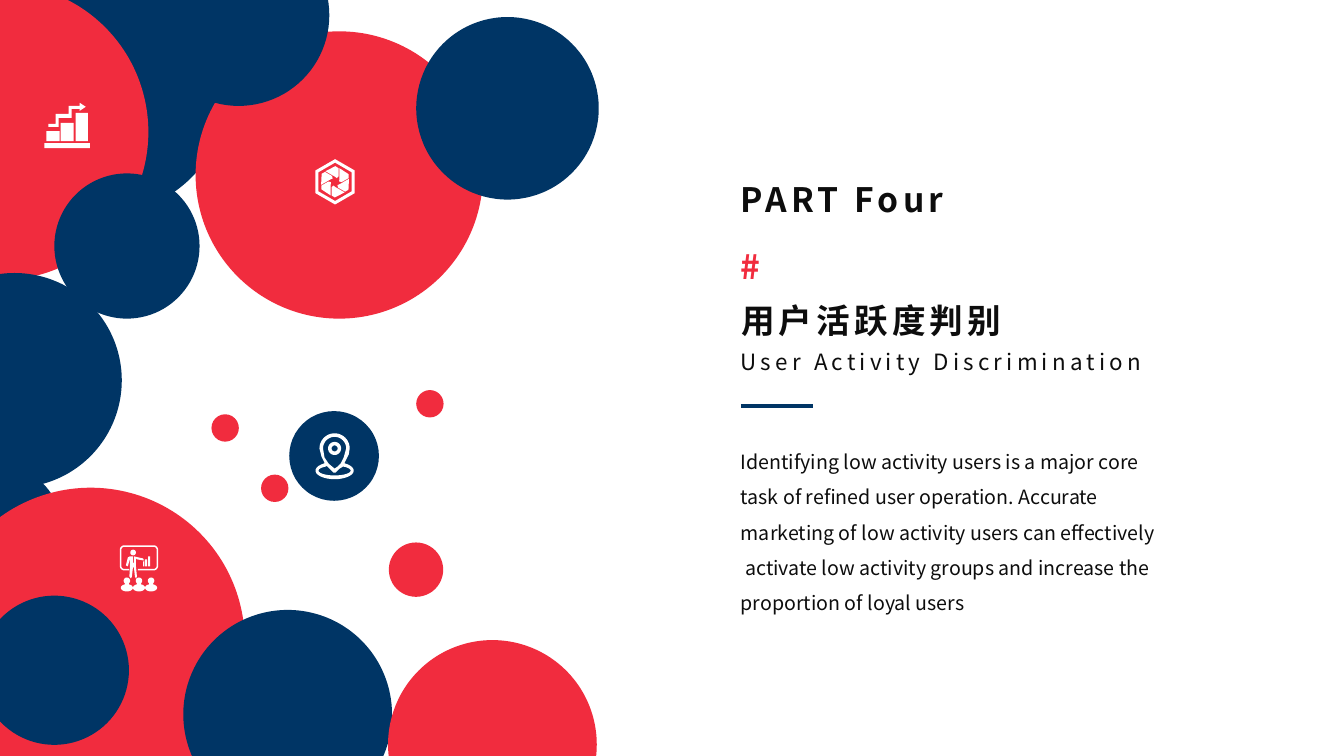
from math import cos, radians, sin

from lxml import etree
from pptx import Presentation
from pptx import util as u
from pptx.dml.color import RGBColor
from pptx.enum import shapes, text
from pptx.oxml.ns import qn

COLORS = {"navy": "003565", "red": "F12C3E", "white": "FFFFFF", "ink": "0D0D0D"}
FONT = "Noto Sans CJK SC"
UNIT = 2.54 / 100  # cm per icon unit


def arc(cx, cy, rx, ry, start=0, end=360, steps=24):
    angles = [radians(start + (end - start) * i / steps) for i in range(steps + 1)]
    return [(cx + rx * cos(a), cy + ry * sin(a)) for a in angles]


def box(x, y, w, h):
    return [(x, y), (x + w, y), (x + w, y + h), (x, y + h)]


prs = Presentation()
prs.slide_width, prs.slide_height = u.Cm(33.87), u.Cm(19.05)
s = prs.slides.add_slide(prs.slide_layouts[5])

# Circles, back to front: left, top, diameter in cm
circles = [
    (-0.51, -0.86, 6.25, "navy"), (-3.73, -0.41, 7.47, "red"),
    (1.37, 4.37, 3.66, "navy"), (-2.34, 6.88, 5.41, "navy"),
    (4.93, 0.79, 7.24, "red"), (3.73, -1.9, 4.57, "navy"),
    (-1.6, 11.73, 3.15, "navy"), (-1.6, 12.29, 7.77, "red"),
    (-0.51, 15.01, 3.76, "navy"), (4.62, 15.37, 5.26, "navy"),
    (9.78, 16.13, 5.26, "red"), (7.29, 10.36, 2.26, "navy"),
    (6.58, 11.96, 0.69, "red"), (5.33, 10.44, 0.69, "red"),
    (10.49, 9.83, 0.69, "red"), (9.8, 13.67, 1.37, "red"),
    (10.49, 0.43, 4.6, "navy"),
]
for x, y, d, color in circles:
    sp = s.shapes.add_shape(shapes.MSO_SHAPE.OVAL, *map(u.Cm, (x, y, d, d)))
    sp.shadow.inherit = False
    sp.fill.solid()
    sp.fill.fore_color.rgb = RGBColor.from_string(COLORS[color])
    sp.line.fill.background()

# Presenter icon: board frame open at the bottom, speaker, bars, audience
corners = [(4.5, 20.5, 90), (4.5, 4.5, 180), (33.5, 4.5, 270), (33.5, 20.5, 360)]
board = [(9, 25)]
for cx, cy, a in corners:
    board += arc(cx, cy, 4.5, 4.5, a, a + 90, 6)
board += [(18, 25), (18, 23.5)]
for cx, cy, a in reversed(corners):
    board += arc(cx, cy, 3, 3, a + 90, a, 6)
board.append((9, 23.5))
speaker = [
    (8, 12), (10, 11), (13, 11), (13, 17), (13.5, 18), (14, 17), (14, 11),
    (18, 12), (23, 13), (24, 15), (23, 15), (17, 14), (16, 13), (16, 21),
    (17, 31), (16, 33), (15, 31), (14, 22), (13, 22), (12, 31), (11, 33),
    (9.5, 31), (10, 21), (10, 13), (8, 21), (6, 20),
]
audience = [arc(x, 35.2, 3.2, 3.2, 130, 410) + arc(x, 42.2, 6, 3.6, -70, 250)
            for x in (7, 19, 31)]
presenter = [board, speaker, arc(13.2, 7.2, 2.8, 2.8), box(23, 16, 1, 5),
             box(25, 14, 2, 7), box(28, 11, 2, 10), *audience]

# Growth icon: base, three bars, stepped arrow
growth = [
    box(0, 40, 45, 5), box(2, 28, 13, 10), box(16, 20, 13, 18), box(31, 10, 12, 28),
    [(35, 0), (41, 4), (35, 8), (35, 6), (27, 6), (27, 15), (14, 15), (14, 24),
     (4, 24), (4, 21), (11, 21), (11, 11), (24, 11), (24, 3), (35, 3)],
]

# Shutter icon: hexagonal ring and one blade turned six times
shutter = [arc(19.5, 22.5, r, r, 30, 330, 5) for r in (22.5, 19)]
blade = [(0.3, -15.5), (3.5, -13.5), (3.5, -5.5), (1.7, -3.7), (-0.3, -5.2), (-9.5, -10.5)]
for a in map(radians, range(0, 360, 60)):
    shutter.append([(19.5 + x * cos(a) - y * sin(a), 22.5 + x * sin(a) + y * cos(a))
                    for x, y in blade])

# Pin icon: outline, hollow base, hollow pin, ring
pin = [
    arc(19, 15, 15, 15, -180, 0) + [(33, 21), (30, 27), (29, 29)]
    + arc(19, 37, 19, 8.5, -58, 238) + [(9, 29), (6, 23)],
    arc(19, 37, 16, 4.8, -58, 238) + [(11, 32), (14, 35), (18, 39), (20, 39), (24, 35)],
    arc(19, 15, 11.5, 11.5, -180, 0) + [(28, 24), (25, 30), (22, 33), (19, 35), (13, 30), (9, 24)],
    arc(19, 15, 6.5, 6.5), arc(19, 15, 3, 3),
]

for left, top, outlines in [(3.02, 13.74, presenter), (1.12, 2.59, growth),
                            (7.95, 4.01, shutter), (7.95, 10.92, pin)]:
    builder = None
    for outline in outlines:
        pts = [(u.Cm(left + x * UNIT), u.Cm(top + y * UNIT)) for x, y in outline]
        if builder is None:
            builder = s.shapes.build_freeform(*pts[0])
        else:
            builder.move_to(*pts[0])
        builder.add_line_segments(pts[1:], close=True)
    sp = builder.convert_to_shape()
    sp.shadow.inherit = False
    sp.fill.solid()
    sp.fill.fore_color.rgb = RGBColor.from_string(COLORS["white"])
    sp.line.fill.background()

# Texts: box in cm, lines, format
heading = {"size": u.Pt(24), "bold": True}
body = ["Identifying low activity users is a major core",
        "task of refined user operation. Accurate",
        "marketing of low activity users can effectively",
        " activate low activity groups and increase the",
        "proportion of loyal users"]
texts = [
    (s.shapes.title, (18.42, 7.44, 7.24, 1.27), ["用户活跃度判别"], heading, "ink", 3),
    (None, (18.42, 8.66, 11.02, 0.94), ["User Activity Discrimination"], {"size": u.Pt(16)}, "ink", 3),
    (None, (18.42, 4.39, 5.94, 1.27), ["PART Four"], heading, "ink", 3),
    (None, (18.42, 6.07, 1.17, 1.27), ["#"], heading, "red", 3),
    (None, (18.42, 10.92, 14.86, 4.65), body, {"size": u.Pt(14)}, "ink", 0),
]
for sp, place, lines, fmt, color, spacing in texts:
    sp = sp or s.shapes.add_textbox(0, 0, 0, 0)
    sp.left, sp.top, sp.width, sp.height = map(u.Cm, place)
    tf = sp.text_frame
    tf.auto_size = text.MSO_AUTO_SIZE.NONE
    tf.vertical_anchor = text.MSO_ANCHOR.TOP
    tf.word_wrap = lines is body
    for i, line in enumerate(lines):
        p = tf.add_paragraph() if i else tf.paragraphs[0]
        p.alignment = text.PP_ALIGN.LEFT
        p.line_spacing = 1.5 if lines is body else 1.0
        r = p.add_run()
        r.text = line
        for key, value in {**fmt, "name": FONT}.items():
            setattr(r.font, key, value)
        r.font.color.rgb = RGBColor.from_string(COLORS[color])
        rPr = r._r.get_or_add_rPr()
        rPr.set("spc", str(spacing * 100))
        etree.SubElement(rPr, qn("a:ea"), typeface=FONT)

# Rule under the subtitle
rule = s.shapes.add_connector(shapes.MSO_CONNECTOR.STRAIGHT,
                              *map(u.Cm, (18.67, 10.24, 20.5, 10.24)))
rule.line.color.rgb = RGBColor.from_string(COLORS["navy"])
rule.line.width = u.Pt(3)
etree.SubElement(rule._element.spPr, qn("a:effectLst"))

prs.save("out.pptx")
